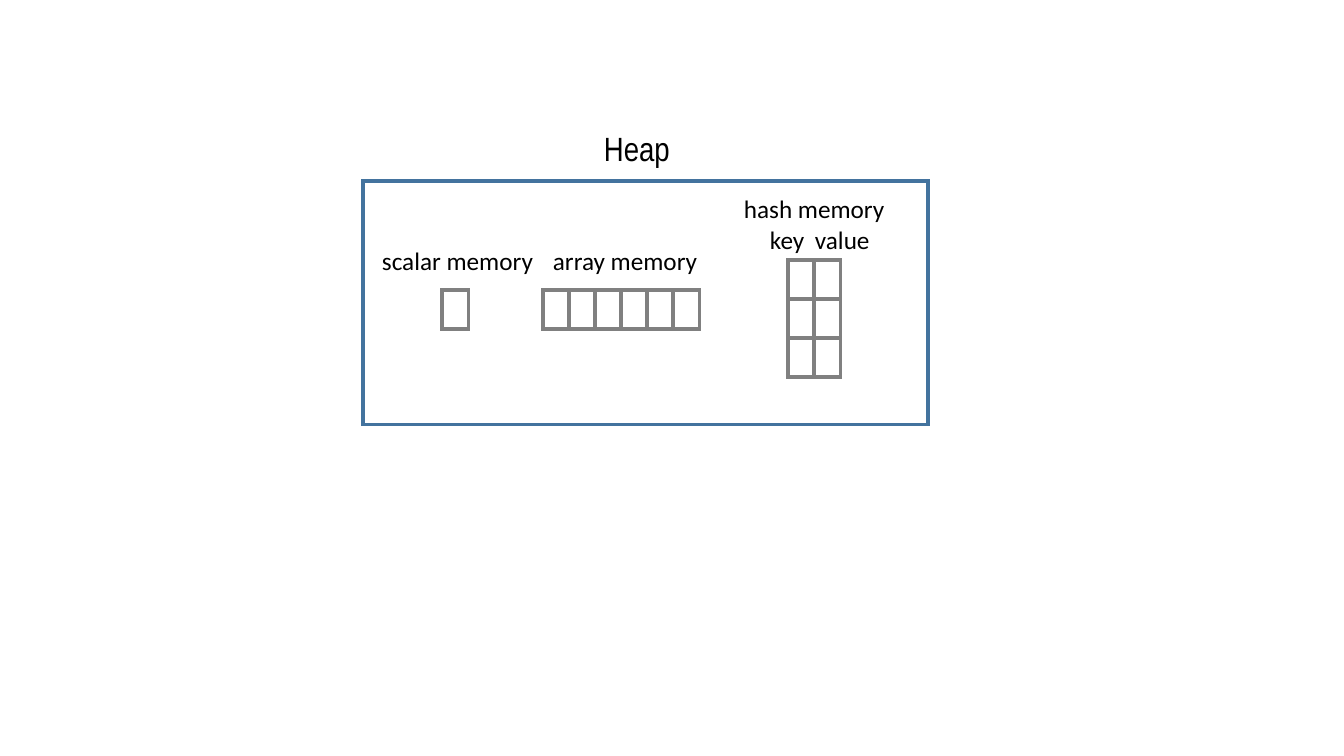
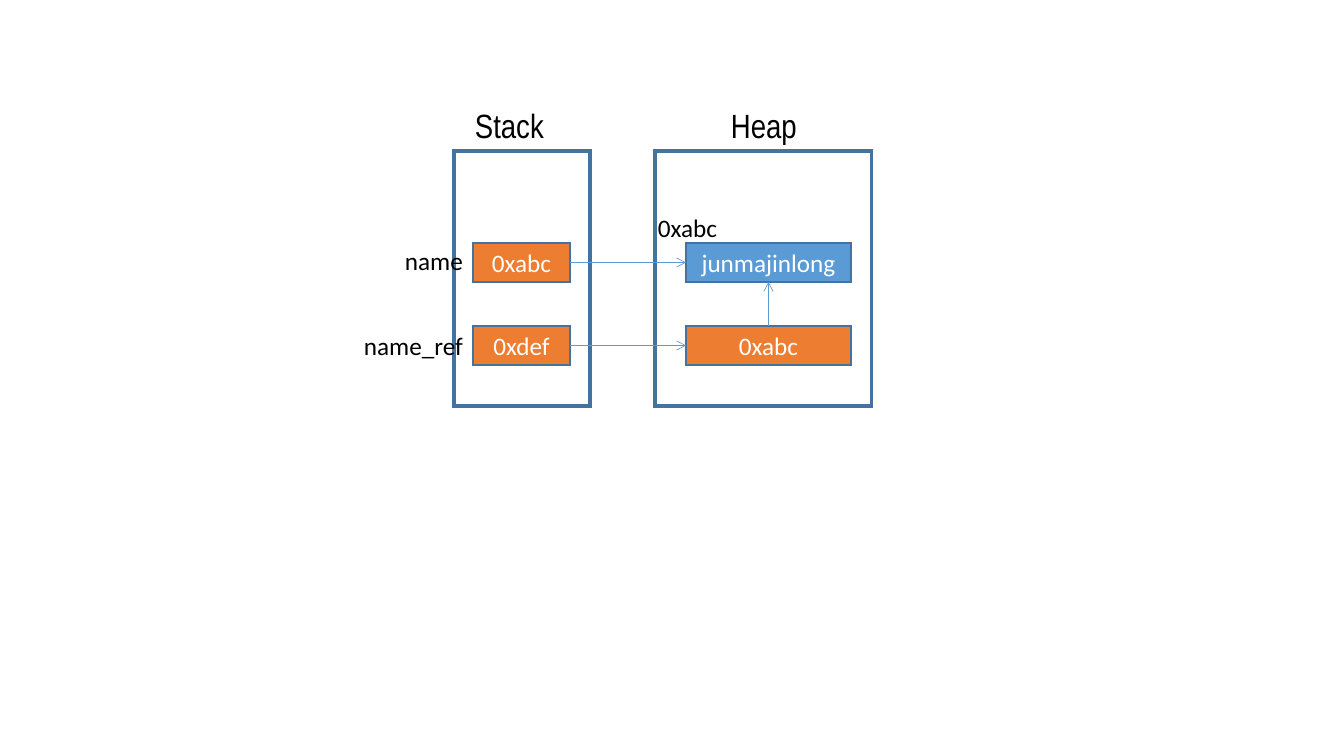
from pptx import Presentation, util as u
from pptx.dml.color import RGBColor
from pptx.enum import shapes as es, text as et
from pptx.oxml.ns import qn
from lxml import etree

THEME = {
    "title": {"name": "Arial Narrow", "size": 24, "color": "000000"},
    "label": {"name": "Calibri", "size": 18, "color": "000000"},
    "frame": {"line": "43739E", "width": 2.25},
    "cell": {"line": "808080", "width": 2.25},
    "value": {"fill": "5B9BD5", "line": "43739E", "width": 1,
              "name": "Calibri", "size": 18, "color": "FFFFFF"},
    "ref": {"fill": "ED7D31", "line": "43739E", "width": 1,
            "name": "Calibri", "size": 18, "color": "FFFFFF"},
    "arrow": {"line": "5B9BD5", "width": 0.5},
}
PX = 914400 / 100.8


def box(parent, kind, at, words=""):
    """Draw a rectangle in a theme style, with centred words if given."""
    style = THEME[kind]
    shape = parent.add_shape(es.MSO_SHAPE.RECTANGLE, *[round(v * PX) for v in at])
    shape.shadow.inherit = False
    if "fill" in style:
        shape.fill.solid()
        shape.fill.fore_color.rgb = RGBColor.from_string(style["fill"])
    else:
        shape.fill.background()
    shape.line.color.rgb = RGBColor.from_string(style["line"])
    shape.line.width = u.Pt(style["width"])
    etree.SubElement(shape.line._get_or_add_ln(), qn("a:miter"), lim="800000")
    if words:
        write(shape, kind, words, align=et.PP_ALIGN.CENTER,
              vertical_anchor=et.MSO_ANCHOR.MIDDLE)
    return shape


def write(shape, kind, words, align=et.PP_ALIGN.LEFT, **form):
    """Set the words of a shape in a theme style."""
    style = THEME[kind]
    frame = shape.text_frame
    for key, val in form.items():
        setattr(frame, key, val)
    para = frame.paragraphs[0]
    para.alignment = align
    run = para.add_run()
    run.text = words
    for key, val in {"name": style["name"], "size": u.Pt(style["size"])}.items():
        setattr(run.font, key, val)
    run.font.color.rgb = RGBColor.from_string(style["color"])


deck = Presentation()
deck.slide_width, deck.slide_height = round(1344 * PX), round(756 * PX)
kinds, stores = [deck.slides.add_slide(deck.slide_layouts[6]).shapes
                 for _ in range(2)]

# Memory kinds: each grid is left, top, columns, rows
box(kinds, "frame", (363, 181, 565, 244))
for left, top, cols, rows in [(442, 290, 1, 1), (543, 290, 6, 1), (788, 260, 2, 3)]:
    grid = kinds if cols * rows == 1 else kinds.add_group_shape().shapes
    for row in range(rows):
        for col in range(cols):
            box(grid, "cell", (left + 26 * col, top + 39 * row, 27, 39))

# Stack and heap
for left, width in [(454, 136), (655, 217)]:
    box(stores, "frame", (left, 151, width, 255))
name, name_ref, data, addr = [
    box(stores, kind, (left, top, width, 39), words)
    for kind, left, top, width, words in [
        ("ref", 473, 243, 97, "0xabc"),
        ("ref", 473, 326, 97, "0xdef"),
        ("value", 686, 243, 165, "junmajinlong"),
        ("ref", 686, 326, 165, "0xabc"),
    ]]

# Arrows join sides of boxes
TOP, LEFT, BOTTOM, RIGHT = range(4)
for tail, out, head, into in [(name, RIGHT, data, LEFT),
                              (name_ref, RIGHT, addr, LEFT),
                              (addr, TOP, data, BOTTOM)]:
    arrow = stores.add_connector(es.MSO_CONNECTOR.STRAIGHT, 0, 0, 0, 0)
    arrow.begin_connect(tail, out)
    arrow.end_connect(head, into)
    arrow.line.color.rgb = RGBColor.from_string(THEME["arrow"]["line"])
    arrow.line.width = u.Pt(THEME["arrow"]["width"])
    etree.SubElement(arrow.line._get_or_add_ln(), qn("a:tailEnd"), type="arrow")
    etree.SubElement(arrow._element.spPr, qn("a:effectLst"))

# Titles and labels, each wide enough for one line
for page, kind, left, top, width, words in [
    (kinds, "title", 594, 123, 91, "Heap"),
    (kinds, "label", 372, 240, 174, "scalar memory"),
    (kinds, "label", 543, 240, 168, "array memory"),
    (kinds, "label", 734, 188, 164, "hash memory"),
    (kinds, "label", 760, 219, 58, "key"),
    (kinds, "label", 805, 219, 78, "value"),
    (stores, "title", 465, 100, 98, "Stack"),
    (stores, "title", 721, 100, 91, "Heap"),
    (stores, "label", 648, 207, 83, "0xabc"),
    (stores, "label", 395, 240, 82, "name"),
    (stores, "label", 354, 325, 122, "name_ref"),
]:
    high = 50 if kind == "title" else 40
    note = page.add_textbox(*[round(v * PX) for v in (left, top, width, high)])
    write(note, kind, words, word_wrap=False,
          auto_size=et.MSO_AUTO_SIZE.SHAPE_TO_FIT_TEXT)

deck.save("out.pptx")
